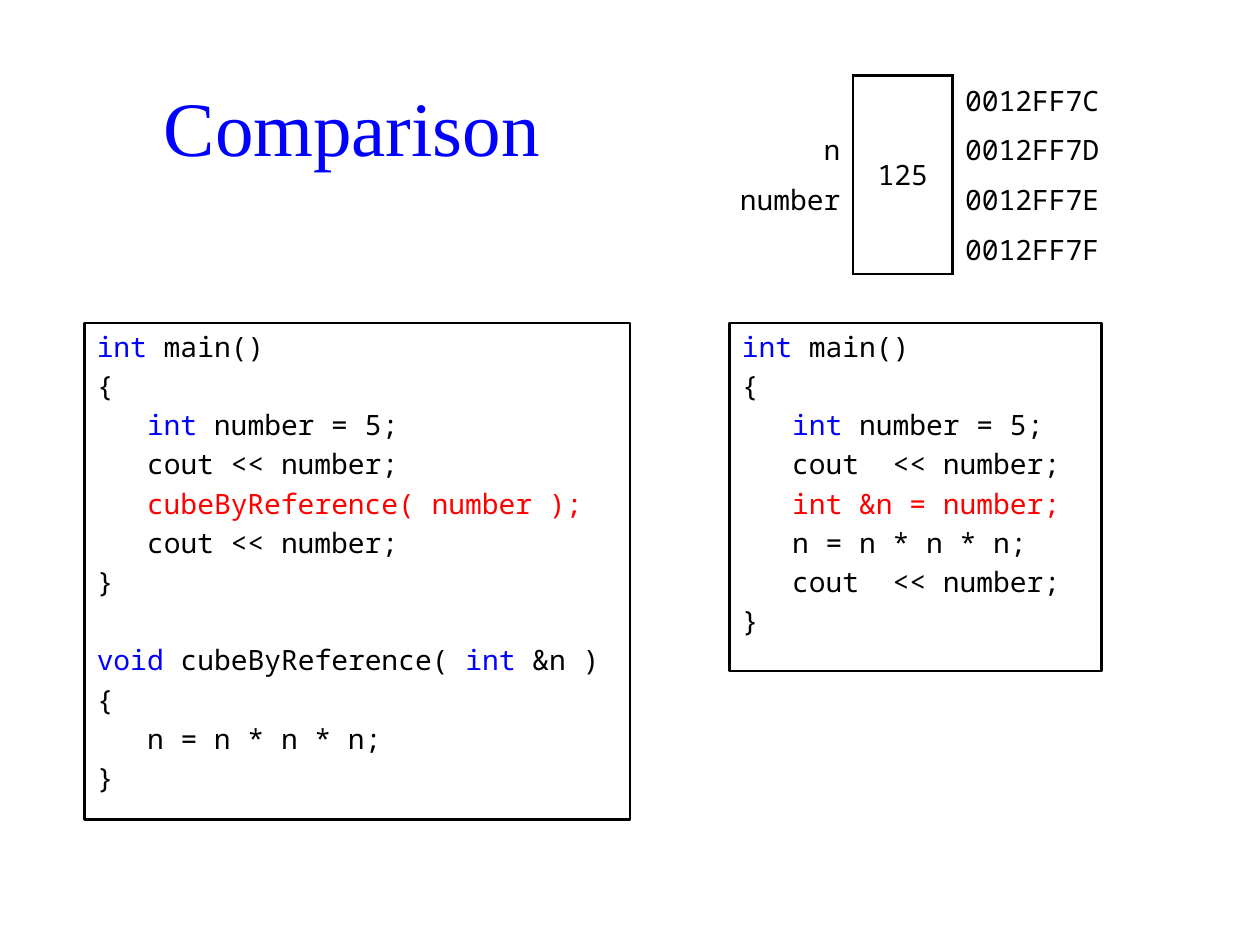
import pptx
import pptx.util
import pptx.dml.color
import pptx.enum.shapes
import pptx.enum.text
import pptx.oxml
import pptx.oxml.ns

COLOURS = {"plain": "000000", "keyword": "0000FF", "changed": "FF0000", "title": "0000FF"}
CODE_FONT = "Noto Sans Mono"
CODE_SIZE = 16
LINE_GAP = 0.2 * CODE_SIZE
BLANK_LINE = 1.4 * CODE_SIZE
BORDER = pptx.util.Pt(1.5)
NAMESPACE = "http://schemas.openxmlformats.org/drawingml/2006/main"
PLAIN_TABLE_STYLE = "{2D5ABB26-0587-4C30-8999-92F81FD0307C}"
ALIGN = pptx.enum.text.PP_ALIGN
MIDDLE = pptx.enum.text.MSO_ANCHOR.MIDDLE

deck = pptx.Presentation()
deck.slide_width = pptx.util.Inches(10)
deck.slide_height = pptx.util.Inches(7.5)

# Each code line is a list of (text, colour) spans; None is an empty line.
MAIN_START = [
    [("int", "keyword"), (" main()", "plain")],
    [("{", "plain")],
    [("   ", "plain"), ("int", "keyword"), (" number = 5;", "plain")],
]
REFERENCE_CODE = MAIN_START + [
    [("   cout << number;", "plain")],
    [("   ", "plain"), ("cubeByReference( number );", "changed")],
    [("   cout << number;", "plain")],
    [("}", "plain")],
    None,
    [("void ", "keyword"), ("cubeByReference( ", "plain"), ("int", "keyword"), (" &n )", "plain")],
    [("{", "plain")],
    [("   n = n * n * n;", "plain")],
    [("}", "plain")],
]
INLINE_CODE = MAIN_START + [
    [("   cout  << number;", "plain")],
    [("   ", "plain"), ("int &n = number;", "changed")],
    [("   n = n * n * n;", "plain")],
    [("   cout  << number;", "plain")],
    [("}", "plain")],
]


def share(left, top, width, height):
    """Turn percentages of the slide into a box."""
    return (int(deck.slide_width * left / 100), int(deck.slide_height * top / 100),
            int(deck.slide_width * width / 100), int(deck.slide_height * height / 100))


def colour(name):
    return pptx.dml.color.RGBColor.from_string(COLOURS[name])


def add_span(para, text, colour_name, font=CODE_FONT, size=CODE_SIZE):
    span = para.add_run()
    span.text = text
    span.font.name = font
    span.font.size = pptx.util.Pt(size)
    span.font.color.rgb = colour(colour_name)


def place_title(page, box, text):
    title = page.shapes.title
    title.left, title.top, title.width, title.height = box
    title.text_frame.vertical_anchor = MIDDLE
    para = title.text_frame.paragraphs[0]
    para.alignment = ALIGN.CENTER
    add_span(para, text, "title", "Times New Roman", 44)


def place_code(page, box, lines):
    panel = page.shapes.add_shape(pptx.enum.shapes.MSO_SHAPE.RECTANGLE, *box)
    panel.shadow.inherit = False
    panel.fill.background()
    panel.line.color.rgb = colour("plain")
    panel.line.width = BORDER
    frame = panel.text_frame
    frame.word_wrap = True
    frame.vertical_anchor = pptx.enum.text.MSO_ANCHOR.TOP
    gap = 0
    for number, spans in enumerate(lines):
        if spans is None:
            gap += BLANK_LINE
            continue
        para = frame.paragraphs[0] if number == 0 else frame.add_paragraph()
        para.alignment = ALIGN.LEFT
        para.space_before = pptx.util.Pt(gap)
        for text, colour_name in spans:
            add_span(para, text, colour_name)
        gap = LINE_GAP


def add_borders(cell, sides):
    properties = cell._tc.get_or_add_tcPr()
    for position, side in enumerate(sides):
        line = pptx.oxml.parse_xml(
            f'<a:ln{side} xmlns:a="{NAMESPACE}" w="{BORDER}"><a:solidFill>'
            f'<a:srgbClr val="{COLOURS["plain"]}"/></a:solidFill></a:ln{side}>')
        properties.insert(position, line)


def place_memory(page, box):
    names = ["", "n", "number", ""]
    addresses = ["0012FF7C", "0012FF7D", "0012FF7E", "0012FF7F"]
    left, top, width, height = box
    table = page.shapes.add_table(len(names), 3, *box).table
    table.first_row = table.horz_banding = False
    style = table._tbl.tblPr.find(pptx.oxml.ns.qn("a:tableStyleId"))
    style.text = PLAIN_TABLE_STYLE
    for column, part in zip(table.columns, (1.18, 0.79, 1.38)):
        column.width = int(width * part / 3.35)
    for row in table.rows:
        row.height = height // len(names)

    # Names on the left, the shared value in the middle, addresses on the right
    alignments = (ALIGN.RIGHT, ALIGN.CENTER, ALIGN.LEFT)
    values = ["125"] + [""] * (len(names) - 1)
    for row, texts in enumerate(zip(names, values, addresses)):
        for column, text in enumerate(texts):
            cell = table.cell(row, column)
            cell.fill.background()
            cell.vertical_anchor = MIDDLE
            cell.margin_top = cell.margin_bottom = 0
            add_borders(cell, ("R", "LRTB", "L")[column])
            para = cell.text_frame.paragraphs[0]
            para.alignment = alignments[column]
            if text:
                add_span(para, text, "plain")
    table.cell(0, 1).merge(table.cell(len(names) - 1, 1))


def main():
    page = deck.slides.add_slide(deck.slide_layouts[5])
    place_title(page, share(5.9, 8, 44.1, 10.5), "Comparison")
    place_code(page, share(6.7, 34.2, 43.3, 52.5), REFERENCE_CODE)
    place_code(page, share(57.9, 34.2, 29.5, 36.8), INLINE_CODE)
    place_memory(page, share(55.9, 8, 33.5, 21))
    deck.save("out.pptx")


if __name__ == "__main__":
    main()
